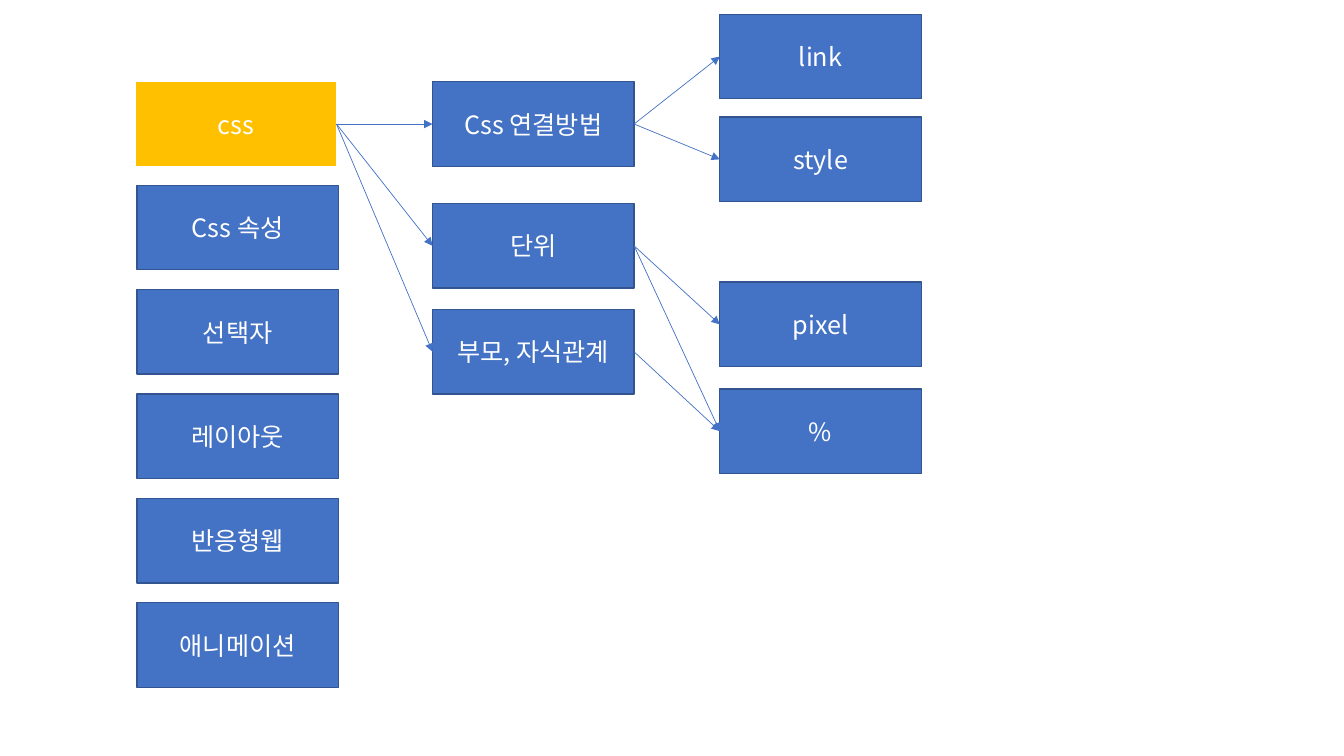
from lxml.etree import SubElement
from pptx import Presentation
from pptx.dml.color import RGBColor
from pptx.enum.shapes import MSO_CONNECTOR as Connector, MSO_SHAPE as Shape
from pptx.enum.text import MSO_ANCHOR as Anchor, PP_ALIGN as Align
from pptx.oxml.ns import qn
from pptx.util import Cm, Pt

FONT = "Noto Sans CJK KR"
COLORS = {
    "root": "FFC000",
    "topic": "4472C4",
    "border": "325491",
    "arrow": "4472C4",
    "white": "FFFFFF",
}
BOX_WIDTH, BOX_HEIGHT = 5.08, 2.13
RIGHT_SIDE, LEFT_SIDE = 3, 1

# Chapters below the root, evenly spaced
CHAPTERS = ["Css 속성", "선택자", "레이아웃", "반응형웹", "애니메이션"]
CHAPTER_LEFT, CHAPTER_TOP, CHAPTER_PITCH = 3.45, 4.67, 2.63

# Branches of the map: left edge of each column, then name and top of each box
COLUMNS = [
    (3.4, [("css", 2.06)]),
    (10.9, [("Css 연결방법", 2.06), ("단위", 5.13), ("부모, 자식관계", 7.8)]),
    (18.14, [("link", 0.36), ("style", 2.95), ("pixel", 7.11), ("%", 9.8)]),
]
LINKS = {
    "css": ["Css 연결방법", "단위", "부모, 자식관계"],
    "Css 연결방법": ["link", "style"],
    "단위": ["pixel", "%"],
    "부모, 자식관계": ["%"],
}


def color(name):
    return RGBColor.from_string(COLORS[name])


def add_box(slide, text, left, top, fill="topic", border="border"):
    shape = slide.shapes.add_shape(
        Shape.RECTANGLE, Cm(left), Cm(top), Cm(BOX_WIDTH), Cm(BOX_HEIGHT))
    shape.shadow.inherit = False
    shape.fill.solid()
    shape.fill.fore_color.rgb = color(fill)
    shape.line.color.rgb = color(border)
    shape.line.width = Pt(1)

    frame = shape.text_frame
    frame.word_wrap = True
    frame.vertical_anchor = Anchor.MIDDLE
    paragraph = frame.paragraphs[0]
    paragraph.alignment = Align.CENTER
    run = paragraph.add_run()
    run.text = text
    run.font.name = FONT
    run.font.size = Pt(18)
    run.font.color.rgb = color("white")
    # Korean letters take the East Asian font
    SubElement(run.font._element, qn("a:ea"), typeface=FONT)
    return shape


def add_arrow(slide, source, target):
    arrow = slide.shapes.add_connector(Connector.STRAIGHT, 0, 0, 0, 0)
    arrow.begin_connect(source, RIGHT_SIDE)
    arrow.end_connect(target, LEFT_SIDE)
    arrow.line.color.rgb = color("arrow")
    arrow.line.width = Pt(0.5)
    SubElement(arrow.line._get_or_add_ln(), qn("a:tailEnd"), type="triangle")
    SubElement(arrow._element.spPr, qn("a:effectLst"))


def main():
    presentation = Presentation()
    presentation.slide_width = Cm(33.87)
    presentation.slide_height = Cm(19.05)
    slide = presentation.slides.add_slide(presentation.slide_layouts[6])

    # Chapter list
    for index, chapter in enumerate(CHAPTERS):
        add_box(slide, chapter, CHAPTER_LEFT, CHAPTER_TOP + index * CHAPTER_PITCH)

    # Boxes of the map
    boxes = {}
    for left, entries in COLUMNS:
        for text, top in entries:
            style = ("root", "white") if text == "css" else ("topic", "border")
            boxes[text] = add_box(slide, text, left, top, *style)

    # Arrows between them
    for source, targets in LINKS.items():
        for target in targets:
            add_arrow(slide, boxes[source], boxes[target])

    presentation.save("out.pptx")


if __name__ == "__main__":
    main()
